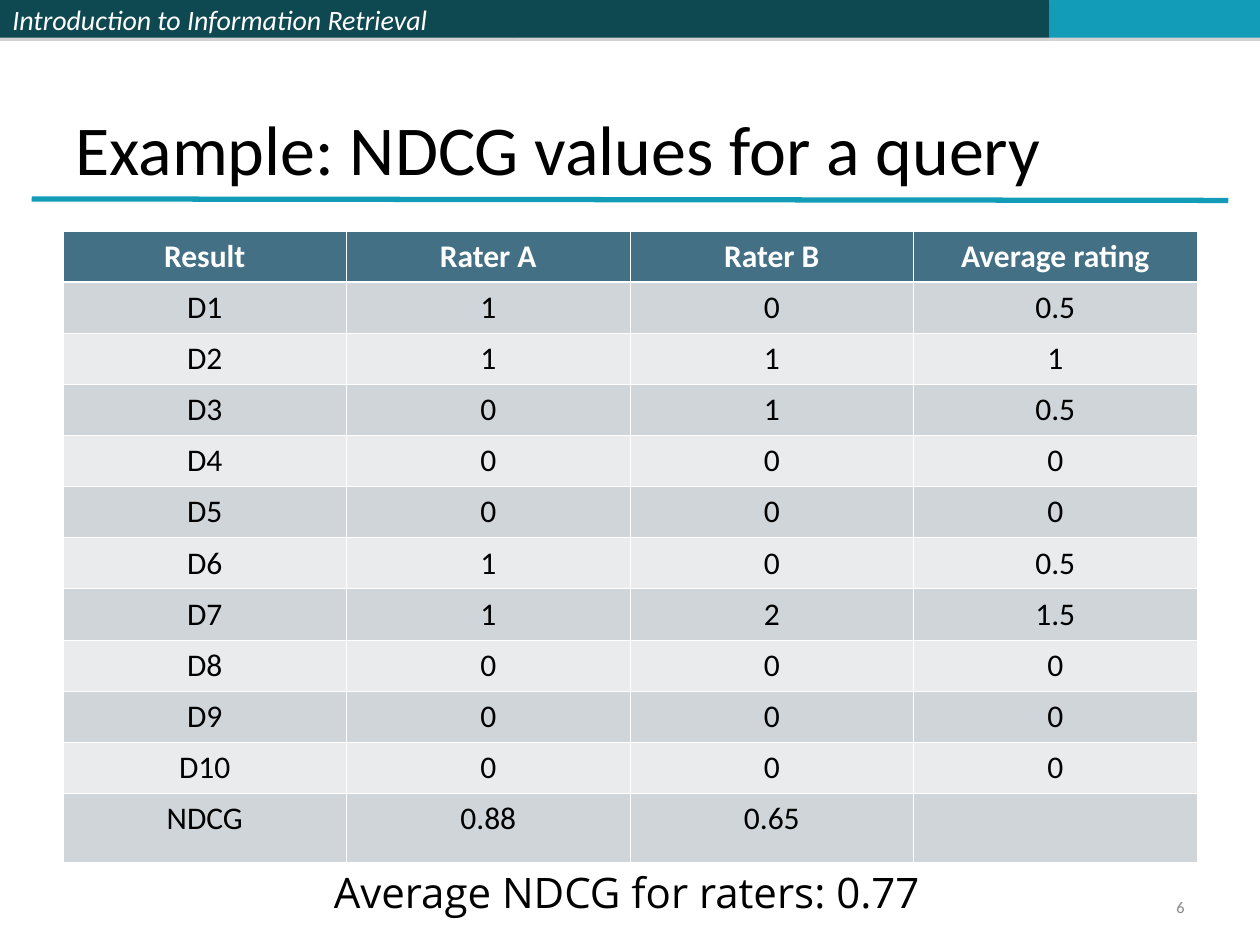
from lxml import etree
from pptx import Presentation, util as u
from pptx.dml.color import RGBColor
from pptx.enum import shapes, text
from pptx.oxml.ns import qn

FONT = "Calibri"
DARK, TEAL, WHITE, BLACK = "0E4851", "139CB7", "FFFFFF", "000000"
HEAD, ODD, EVEN, GREY = "437085", "CFD5D9", "E9EBED", "898989"
LEFT, MID, RIGHT = text.PP_ALIGN.LEFT, text.PP_ALIGN.CENTER, text.PP_ALIGN.RIGHT
BAR = 0.76
ROWS = [
    ("Result", "Rater A", "Rater B", "Average rating"),
    ("D1", "1", "0", "0.5"),
    ("D2", "1", "1", "1"),
    ("D3", "0", "1", "0.5"),
    ("D4", "0", "0", "0"),
    ("D5", "0", "0", "0"),
    ("D6", "1", "0", "0.5"),
    ("D7", "1", "2", "1.5"),
    ("D8", "0", "0", "0"),
    ("D9", "0", "0", "0"),
    ("D10", "0", "0", "0"),
    ("NDCG", "0.88", "0.65", ""),
]


def paint(form, color):
    if hasattr(form, "solid"):
        form.solid()
        form = form.fore_color
    form.rgb = RGBColor.from_string(color)


def cms(*sides):
    return [u.Cm(side) for side in sides]


def sub(node, tag, **attrs):
    return etree.SubElement(node, qn(tag), **attrs)


def write(frame, words, size, color, align=LEFT, font=FONT, bold=False, slant=False):
    para = frame.paragraphs[0]
    para.alignment = align
    run = para.add_run()
    run.text = words
    face = run.font
    face.name, face.size = font, u.Pt(size)
    face.bold, face.italic = bold, slant
    paint(face.color, color)
    return para


def add_bar(slide, left, width, color):
    bar = slide.shapes.add_shape(
        shapes.MSO_SHAPE.RECTANGLE, *cms(left, 0, width, BAR))
    paint(bar.fill, color)
    bar.line.fill.background()
    bar.shadow.inherit = False
    glow = bar._element.spPr.find(qn("a:effectLst"))
    cast = sub(glow, "a:outerShdw", dist=str(u.Pt(1.8)), dir="5400000",
               algn="ctr", rotWithShape="0")
    tint = sub(cast, "a:srgbClr", val="808080")
    sub(tint, "a:alpha", val="35000")
    return bar


def add_rule(slide, ends, color, width):
    rule = slide.shapes.add_connector(shapes.MSO_CONNECTOR.STRAIGHT, *cms(*ends))
    paint(rule.line.fill, color)
    rule.line.width = u.Pt(width)
    sub(rule._element.spPr, "a:effectLst")


def add_text(slide, place, anchor, wrap=True):
    frame = slide.shapes.add_textbox(*cms(*place)).text_frame
    frame.word_wrap = wrap
    frame.vertical_anchor = anchor
    return frame


def edge(cell, widths):
    props = cell._tc.get_or_add_tcPr()
    for spot, (side, width) in enumerate(widths.items()):
        line = etree.Element(qn("a:ln" + side), w=str(u.Pt(width)))
        sub(sub(line, "a:solidFill"), "a:srgbClr", val=WHITE)
        props.insert(spot, line)


def add_grid(slide, place, rows, high, last):
    grid = slide.shapes.add_table(len(rows), len(rows[0]), *cms(*place)).table
    for r, row in enumerate(rows):
        grid.rows[r].height = u.Cm(last if r == len(rows) - 1 else high)
        top = r == 0
        fill = HEAD if top else ODD if r % 2 else EVEN
        for c, words in enumerate(row):
            cell = grid.cell(r, c)
            paint(cell.fill, fill)
            edge(cell, {"L": 0.45, "R": 0.45, "T": 1.47 if r == 1 else 0.45,
                        "B": 1.47 if top else 0.45})
            if words:
                write(cell.text_frame, words, 18, WHITE if top else BLACK,
                      MID, bold=top)


def main():
    deck = Presentation()
    deck.slide_width, deck.slide_height = cms(25.4, 19.05)
    slide = deck.slides.add_slide(deck.slide_layouts[6])
    anchor = text.MSO_ANCHOR

    name = add_bar(slide, 0, 10.36, DARK).text_frame
    name.vertical_anchor = anchor.MIDDLE
    write(name, "Introduction to Information Retrieval", 16, WHITE, slant=True)
    add_bar(slide, 10.36, 10.8, DARK)
    add_bar(slide, 21.16, 4.24, TEAL)
    add_rule(slide, (0.64, 4.01, 24.76, 4.04), TEAL, 3)

    title = add_text(slide, (1.27, BAR, 22.86, 3.18), anchor.BOTTOM)
    write(title, "Example: NDCG values for a query", 40, BLACK)
    add_grid(slide, (1.27, 4.66, 22.86, 12.72), ROWS, 1.03, 1.39)

    page = add_text(slide, (18.21, 17.98, 5.92, 0.69), anchor.MIDDLE)
    write(page, "6", 9.3, GREY, RIGHT).line_spacing = 0.8
    note = add_text(slide, (6.48, 17.35, 12.5, 1.27), anchor.TOP, wrap=False)
    note.auto_size = text.MSO_AUTO_SIZE.SHAPE_TO_FIT_TEXT
    write(note, "Average NDCG for raters: 0.77", 24, BLACK, font="Open Sans")

    deck.save("out.pptx")


if __name__ == "__main__":
    main()
